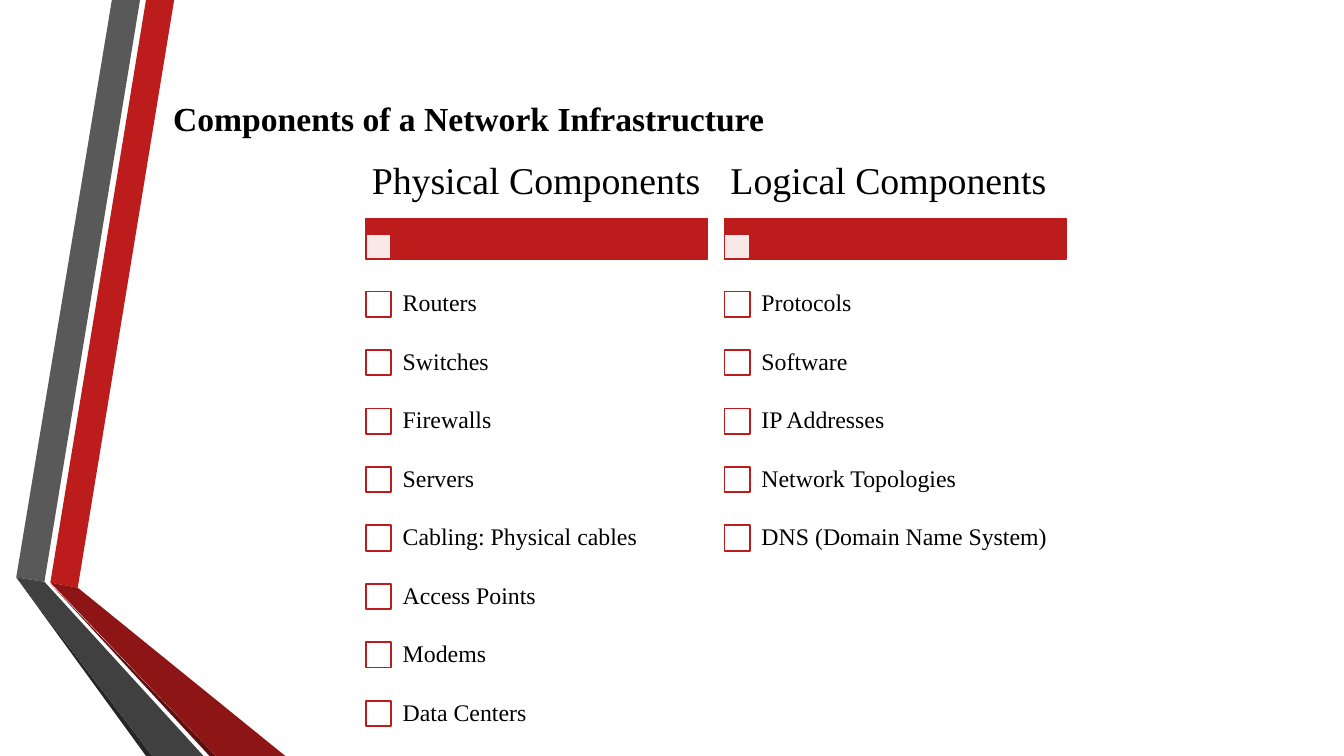
from lxml.etree import SubElement
from pptx import Presentation
from pptx.dml.color import RGBColor
from pptx.enum.shapes import MSO_SHAPE
from pptx.enum.text import MSO_ANCHOR, MSO_AUTO_SIZE, PP_ALIGN
from pptx.oxml.ns import qn
from pptx.util import Cm, Pt

RED = RGBColor(0xBC, 0x1C, 0x1C)
DEEP_RED = RGBColor(0x8D, 0x15, 0x15)
DARKEST_RED = RGBColor(0x5E, 0x0E, 0x0E)
GRAY = RGBColor(0x59, 0x59, 0x59)
DARK_GRAY = RGBColor(0x40, 0x40, 0x40)
DARKEST_GRAY = RGBColor(0x26, 0x26, 0x26)
BLACK = RGBColor(0, 0, 0)
WHITE = RGBColor(0xFF, 0xFF, 0xFF)

FONT = "Times New Roman"
BOX = 0.64
ROW = 1.473

# Ribbon corners in hundredths of a centimetre
RIBBONS = [
    (RED, [(127, 1468), (196, 1481), (439, 0), (368, 0)]),
    (GRAY, [(353, 0), (282, 0), (41, 1455), (112, 1466)]),
    (DARKEST_GRAY, [(41, 1455), (368, 1905), (384, 1905)]),
    (DARKEST_RED, [(127, 1471), (528, 1905), (544, 1905)]),
    (DEEP_RED, [(127, 1468), (544, 1905), (719, 1905), (196, 1481)]),
    (DARK_GRAY, [(513, 1905), (112, 1466), (41, 1455), (384, 1905)]),
]

COLUMNS = [
    ("Physical Components",
     ["Routers", "Switches", "Firewalls", "Servers",
      "Cabling: Physical cables", "Access Points", "Modems", "Data Centers"]),
    ("Logical Components",
     ["Protocols", "Software", "IP Addresses", "Network Topologies",
      "DNS (Domain Name System)"]),
]


def add_ribbons(slide):
    for color, corners in RIBBONS:
        builder = slide.shapes.build_freeform(*corners[0], scale=Cm(0.01))
        builder.add_line_segments(corners[1:], close=True)
        sp = builder.convert_to_shape()
        sp.shadow.inherit = False
        sp.fill.solid()
        sp.fill.fore_color.rgb = color
        sp.line.fill.background()


def write(tf, text, size, bold=False):
    tf.word_wrap = True
    tf.auto_size = MSO_AUTO_SIZE.NONE
    tf.vertical_anchor = MSO_ANCHOR.MIDDLE
    p = tf.paragraphs[0]
    p.alignment = PP_ALIGN.LEFT
    r = p.add_run()
    r.text = text
    r.font.name = FONT
    r.font.size = Pt(size)
    r.font.bold = bold
    r.font.color.rgb = BLACK
    return p


def add_title(slide, left, top, width, height):
    title = slide.shapes.title
    title.left, title.top = Cm(left), Cm(top)
    title.width, title.height = Cm(width), Cm(height)
    write(title.text_frame, "Components of a Network Infrastructure", 24, bold=True)


def add_label(slide, left, top, width, height, text, size, inset_x, inset_y):
    tf = slide.shapes.add_textbox(Cm(left), Cm(top), Cm(width), Cm(height)).text_frame
    tf.margin_left = tf.margin_right = Cm(inset_x)
    tf.margin_top = tf.margin_bottom = Cm(inset_y)
    write(tf, text, size).line_spacing = 0.9


def add_rect(slide, left, top, width, height, color):
    sp = slide.shapes.add_shape(MSO_SHAPE.RECTANGLE, Cm(left), Cm(top),
                                Cm(width), Cm(height))
    sp.shadow.inherit = False
    sp.fill.solid()
    sp.fill.fore_color.rgb = color
    sp.line.color.rgb = RED
    sp.line.width = Pt(1.25)
    return sp


def add_column(slide, left, top, width, heading, items):
    """Place a heading, its red bar and a checklist below it."""
    add_rect(slide, left, top + 1.83, width, 1.02, RED)
    marker = add_rect(slide, left, top + 2.21, BOX, BOX, WHITE)
    white = marker.fill._xPr.find(qn("a:solidFill"))[0]
    SubElement(white, qn("a:alpha"), val="90000")
    add_label(slide, left, top, width, 1.83, heading, 27, 0.15, 0.1)
    for i, item in enumerate(items):
        y = top + 3.25 + i * ROW
        add_rect(slide, left, y + (ROW - BOX) / 2, BOX, BOX, WHITE)
        add_label(slide, left + 0.6, y, width - 0.6, ROW, item, 17, 0.33, 0.33)


def main():
    prs = Presentation()
    prs.slide_width, prs.slide_height = Cm(33.87), Cm(19.05)
    slide = prs.slides.add_slide(prs.slide_layouts[5])
    add_ribbons(slide)
    add_title(slide, 4.11, 2.24, 27.84, 1.45)
    for i, (heading, items) in enumerate(COLUMNS):
        add_column(slide, 9.22 + i * 9.04, 3.68, 8.61, heading, items)
    prs.save("out.pptx")


if __name__ == "__main__":
    main()
